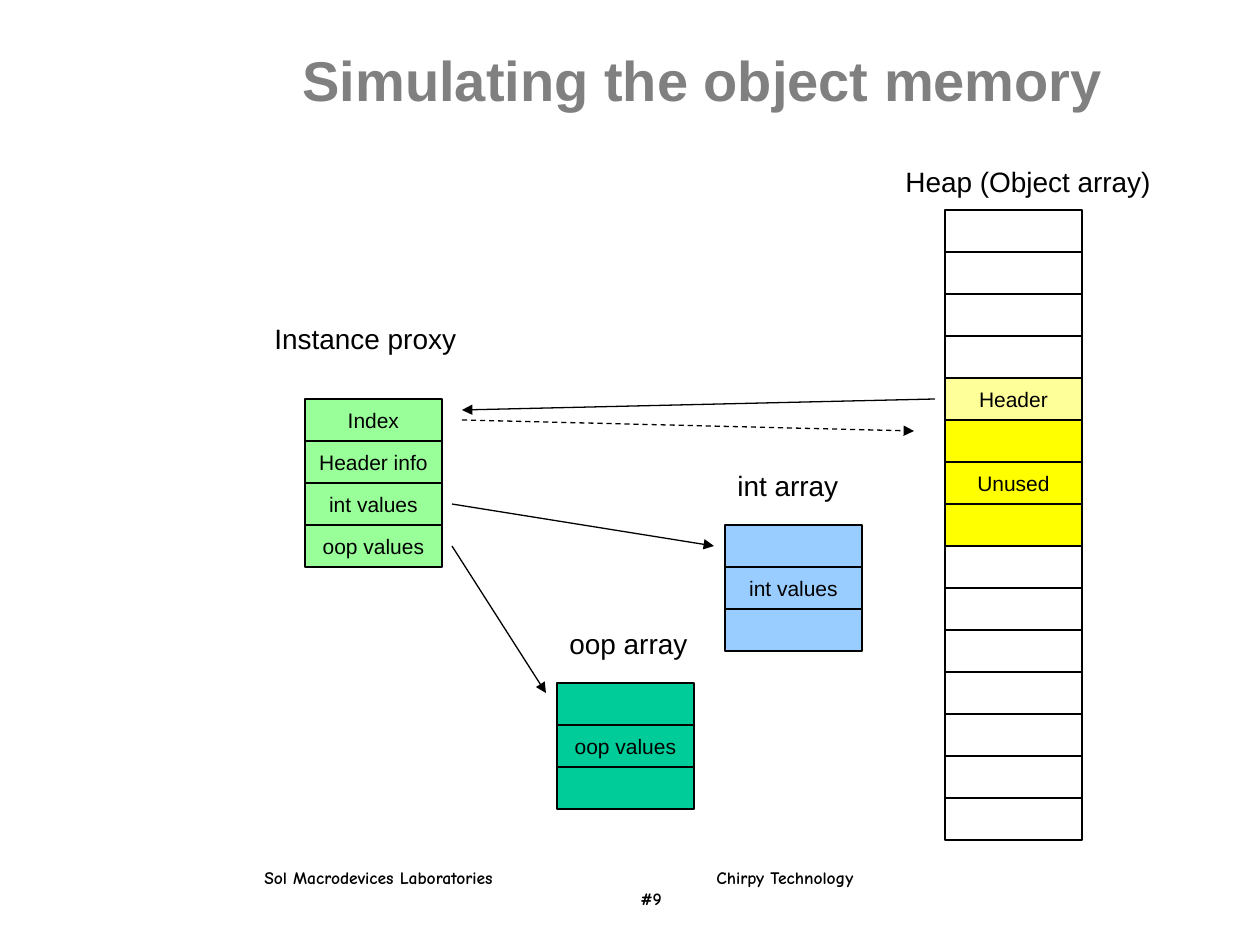
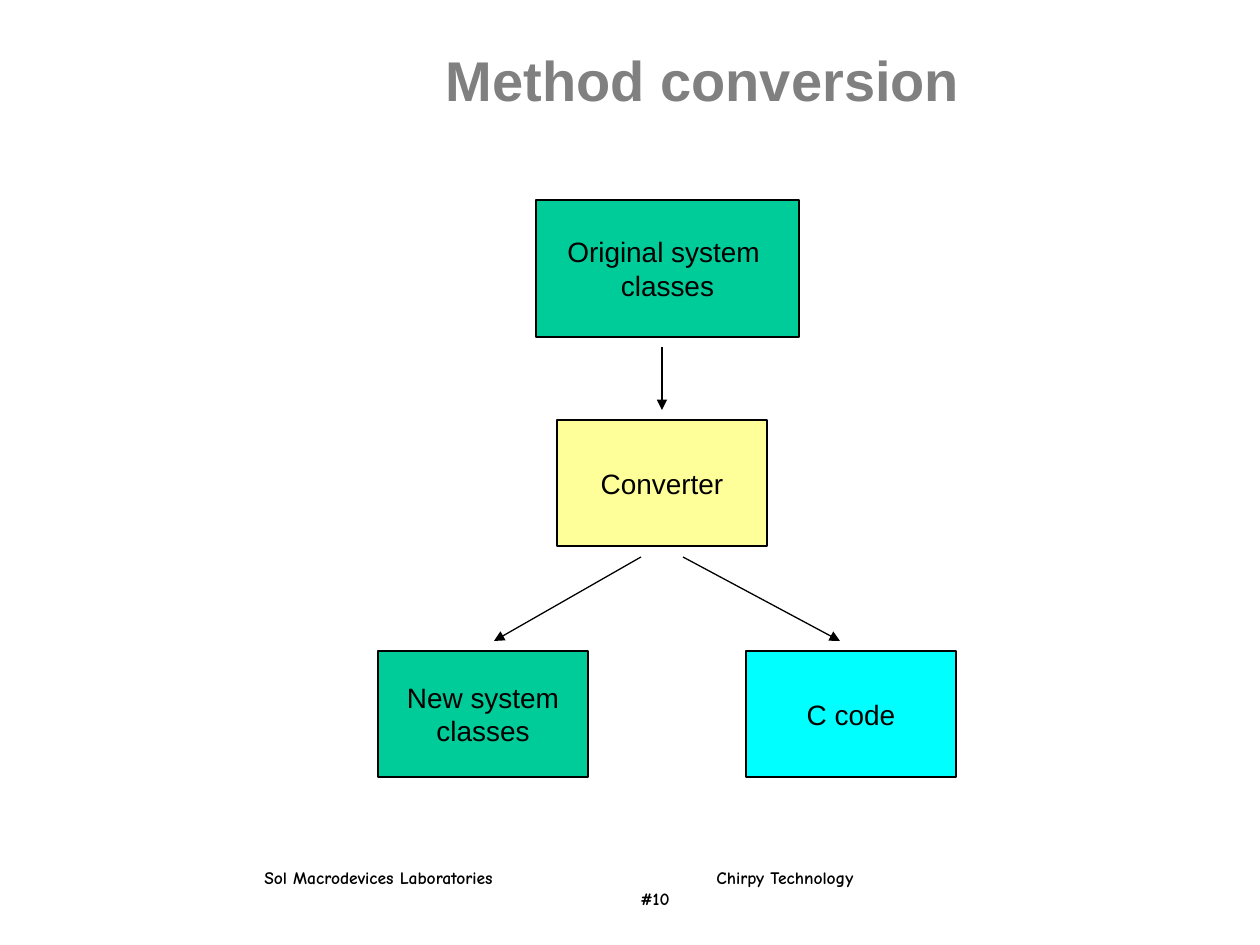
from lxml import etree
from pptx import Presentation
from pptx import util as u
from pptx.dml.color import RGBColor
from pptx.enum import dml, shapes, text
from pptx.oxml.ns import qn

# Shared style; all lengths are in px, 126 to the inch
SCALE = 914400 / 126
SLIDE_SIZE = (1260, 945)
TITLE_BOX = (220, 21, 966, 116)
FOOTER_BOX = (252, 861, 793, 55)
FOOTER_TABS = (452, 376)  # one stop for each footer line
CELL_WIDTH, CELL_HEIGHT = 137, 42
LABEL_HEIGHT = 46
LINE_WIDTH = u.Pt(0.75)
COLORS = {
    "black": "000000", "gray": "808080", "white": "FFFFFF",
    "cream": "FFFF99", "yellow": "FFFF00", "lime": "99FF99",
    "blue": "99CCFF", "teal": "00CC99", "cyan": "00FFFF",
}
FOOTER = "Sol Macrodevices Laboratories\tChirpy Technology\n\t#{number}"

# Slide content
MEMORY = {
    "number": 9,
    "title": "Simulating the object memory",
    # left, top, cells from top to bottom as (text, colour)
    "stacks": [
        (945, 210, [("", "white")] * 4
         + [("Header", "cream"), ("", "yellow"), ("Unused", "yellow"), ("", "yellow")]
         + [("", "white")] * 7),
        (305, 399, [(name, "lime") for name in
                    ("Index", "Header info", "int values", "oop values")]),
        (725, 525, [(name, "blue") for name in ("", "int values", "")]),
        (557, 683, [(name, "teal") for name in ("", "oop values", "")]),
    ],
    # text, left, top, width
    "labels": [
        ("Heap (Object array)", 893, 158, 270),
        ("Instance proxy", 262, 315, 207),
        ("int array", 725, 462, 126),
        ("oop array", 557, 620, 142),
    ],
    # from x, from y, to x, to y, dashed
    "arrows": [
        (935, 399, 462, 410, False),
        (462, 420, 914, 431, True),
        (452, 504, 714, 546, False),
        (452, 546, 546, 693, False),
    ],
}
CONVERSION = {
    "number": 10,
    "title": "Method conversion",
    # text, colour, left, top, width, height
    "boxes": [
        ("Original system \nclasses", "teal", 536, 200, 263, 137),
        ("Converter", "cream", 557, 420, 210, 126),
        ("New system\nclasses", "teal", 378, 651, 210, 126),
        ("C code", "cyan", 746, 651, 210, 126),
    ],
    "arrows": [
        (662, 347, 662, 410, False),
        (641, 557, 494, 641, False),
        (683, 557, 840, 641, False),
    ],
}


def px(*values):
    return [u.Emu(round(value * SCALE)) for value in values]


def color(name):
    return RGBColor.from_string(COLORS[name])


def write(shape, words, size=16, font="Arial", ink="black", bold=False,
          align=text.PP_ALIGN.LEFT, anchor=text.MSO_ANCHOR.TOP, wrap=False):
    frame = shape.text_frame
    frame.text = words
    frame.auto_size = text.MSO_AUTO_SIZE.NONE
    frame.word_wrap = wrap
    frame.vertical_anchor = anchor
    for paragraph in frame.paragraphs:
        paragraph.alignment = align
        for run in paragraph.runs:
            run.font.size = u.Pt(size)
            run.font.name = font
            run.font.bold = bold
            run.font.color.rgb = color(ink)


def add_box(slide, words, fill, left, top, width, height, size=16):
    box = slide.shapes.add_shape(
        shapes.MSO_SHAPE.RECTANGLE, *px(left, top, width, height))
    box.shadow.inherit = False
    box.fill.solid()
    box.fill.fore_color.rgb = color(fill)
    box.line.color.rgb = color("black")
    box.line.width = LINE_WIDTH
    if words:
        write(box, words, size=size, align=text.PP_ALIGN.CENTER,
              anchor=text.MSO_ANCHOR.MIDDLE)


def add_stack(slide, left, top, cells):
    for row, (words, fill) in enumerate(cells):
        add_box(slide, words, fill, left, top + row * CELL_HEIGHT,
                CELL_WIDTH, CELL_HEIGHT, size=12)


def add_label(slide, words, left, top, width):
    write(slide.shapes.add_textbox(*px(left, top, width, LABEL_HEIGHT)), words)


def add_arrow(slide, from_x, from_y, to_x, to_y, dashed):
    arrow = slide.shapes.add_connector(
        shapes.MSO_CONNECTOR.STRAIGHT, *px(from_x, from_y, to_x, to_y))
    arrow.line.color.rgb = color("black")
    arrow.line.width = LINE_WIDTH
    if dashed:
        arrow.line.dash_style = dml.MSO_LINE.DASH
    properties = arrow._element.spPr
    etree.SubElement(properties.find(qn("a:ln")), qn("a:tailEnd"), type="triangle")
    etree.SubElement(properties, qn("a:effectLst"))


def add_footer(slide, number):
    footer = slide.shapes.add_textbox(*px(*FOOTER_BOX))
    write(footer, FOOTER.format(number=number), size=10, font="Comic Neue",
          bold=True, wrap=True)
    for paragraph, stop in zip(footer.text_frame.paragraphs, FOOTER_TABS):
        tabs = etree.SubElement(paragraph._p.get_or_add_pPr(), qn("a:tabLst"))
        etree.SubElement(tabs, qn("a:tab"), pos=str(px(stop)[0]), algn="l")


def add_slide(presentation, content):
    slide = presentation.slides.add_slide(presentation.slide_layouts[5])
    title = slide.shapes.title
    title.left, title.top, title.width, title.height = px(*TITLE_BOX)
    write(title, content["title"], size=32, ink="gray", bold=True, wrap=True,
          align=text.PP_ALIGN.CENTER, anchor=text.MSO_ANCHOR.MIDDLE)
    add_footer(slide, content["number"])
    parts = {"stacks": add_stack, "boxes": add_box,
             "labels": add_label, "arrows": add_arrow}
    for kind, add_part in parts.items():
        for part in content.get(kind, []):
            add_part(slide, *part)


def main():
    presentation = Presentation()
    presentation.slide_width, presentation.slide_height = px(*SLIDE_SIZE)
    for content in (MEMORY, CONVERSION):
        add_slide(presentation, content)
    presentation.save("out.pptx")


if __name__ == "__main__":
    main()
